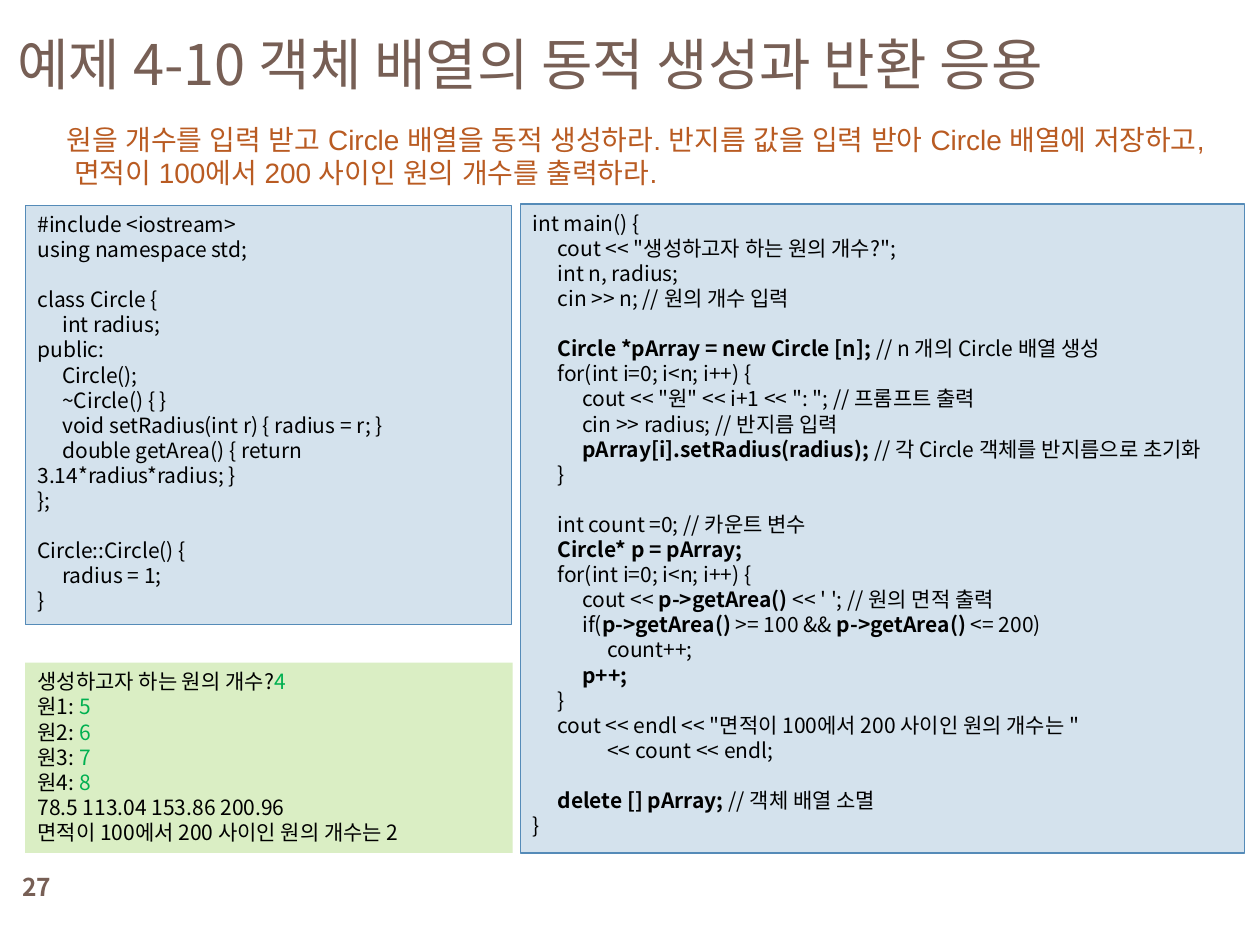
from dataclasses import dataclass
from typing import Optional

from lxml.etree import SubElement
from pptx import Presentation
from pptx.dml.color import RGBColor
from pptx.enum.shapes import MSO_SHAPE
from pptx.enum.text import MSO_ANCHOR, PP_ALIGN
from pptx.oxml.ns import qn
from pptx.util import Inches, Pt


@dataclass(frozen=True)
class Theme:
    sans: str = "Noto Sans CJK KR"
    arial: str = "Arial"
    ink: str = "000000"
    brown: str = "775F55"
    rust: str = "B95B22"
    green: str = "00B050"
    mint: str = "DAEEC4"
    blue: str = "D4E2ED"
    edge: str = "558BB8"
    title: int = 32
    lead: int = 16
    page: int = 14
    code: int = 12
    pitch: float = 14.35
    tab: float = 0.59 / 3


@dataclass(frozen=True)
class Box:
    left: float
    top: float
    width: float
    height: float
    text: str
    size: int
    color: str
    face: str
    fill: Optional[str] = None
    line: Optional[str] = None
    accent: Optional[str] = None
    bold: bool = False
    pitch: Optional[float] = None
    anchor: MSO_ANCHOR = MSO_ANCHOR.TOP
    align: PP_ALIGN = PP_ALIGN.LEFT


T = Theme()
MARK = "§"

CLASS = """#include <iostream>
using namespace std;

class Circle {
\tint radius;
public:
\tCircle();
\t~Circle() { }
\tvoid setRadius(int r) { radius = r; }
\tdouble getArea() { return 3.14*radius*radius; }
};

Circle::Circle() {
\tradius = 1;
}"""

MAIN = """int main() {
\tcout << "생성하고자 하는 원의 개수?";
\tint n, radius;
\tcin >> n; // 원의 개수 입력

\t§Circle *pArray = new Circle [n]; §// n 개의 Circle 배열 생성
\tfor(int i=0; i<n; i++) {
\t\tcout << "원" << i+1 << ": "; // 프롬프트 출력
\t\tcin >> radius; // 반지름 입력
\t\t§pArray[i].setRadius(radius); §// 각 Circle 객체를 반지름으로 초기화
\t}

\tint count =0; // 카운트 변수
\t§Circle* p = pArray;§
\tfor(int i=0; i<n; i++) {
\t\tcout << §p->getArea() §<< ' '; // 원의 면적 출력
\t\tif(§p->getArea()§ >= 100 && §p->getArea() §<= 200)
\t\t\tcount++;
\t\t§p++;§
\t}
\tcout << endl << "면적이 100에서 200 사이인 원의 개수는 "
\t\t\t<< count << endl;

\t§delete [] pArray; §// 객체 배열 소멸
}"""

OUTPUT = """생성하고자 하는 원의 개수?§4§
원1: §5§
원2: §6§
원3: §7§
원4: §8§
78.5 113.04 153.86 200.96
면적이 100에서 200 사이인 원의 개수는 2"""

LEAD = ("원을 개수를 입력 받고 Circle 배열을 동적 생성하라. 반지름 값을 입력 받아 "
        "Circle 배열에 저장하고, 면적이 100에서 200 사이인 원의 개수를 출력하라.")

BOXES = [
    Box(0, 6.83, 0.58, 0.42, "27", T.page, T.brown, T.sans, bold=True,
        anchor=MSO_ANCHOR.MIDDLE, align=PP_ALIGN.CENTER),
    Box(0.2, 5.26, 3.87, 1.51, OUTPUT, T.code, T.ink, T.sans, T.mint,
        accent=T.green, pitch=T.pitch),
    Box(0.2, 1.63, 3.86, 3.33, CLASS, T.code, T.ink, T.sans, T.blue, T.edge,
        pitch=T.pitch),
    Box(4.13, 1.62, 5.75, 5.15, MAIN, T.code, T.ink, T.sans, T.blue, T.edge,
        pitch=T.pitch),
    Box(0.04, 0.13, 9.96, 0.74, "예제 4-10 객체 배열의 동적 생성과 반환 응용",
        T.title, T.brown, T.sans, anchor=MSO_ANCHOR.MIDDLE),
    Box(0.43, 0.92, 9.22, 0.64, LEAD, T.lead, T.rust, T.arial),
]


def add_line(para, text: str, box: Box) -> None:
    para.alignment = box.align
    if box.pitch:
        para.line_spacing = Pt(box.pitch)
    if "\t" in text:
        tabs = SubElement(para._p.get_or_add_pPr(), qn("a:tabLst"))
        for step in range(1, 4):
            SubElement(tabs, qn("a:tab"), pos=str(Inches(T.tab * step)), algn="l")
    font = para.font
    font.name, font.size, font.bold = box.face, Pt(box.size), box.bold
    font.color.rgb = RGBColor.from_string(box.color)
    SubElement(font._element, qn("a:ea"), typeface=box.face)
    for index, part in enumerate(text.split(MARK)):
        if not part:
            continue
        run = para.add_run()
        run.text = part
        if index % 2 and box.accent:
            run.font.color.rgb = RGBColor.from_string(box.accent)
        elif index % 2:
            run.font.bold = True


def add_box(slide, box: Box) -> None:
    area = [Inches(n) for n in (box.left, box.top, box.width, box.height)]
    if box.fill:
        shape = slide.shapes.add_shape(MSO_SHAPE.RECTANGLE, *area)
        shape.shadow.inherit = False
        shape.fill.solid()
        shape.fill.fore_color.rgb = RGBColor.from_string(box.fill)
        if box.line:
            shape.line.color.rgb = RGBColor.from_string(box.line)
            shape.line.width = Pt(0.75)
        else:
            shape.line.fill.background()
    else:
        shape = slide.shapes.add_textbox(*area)
    frame = shape.text_frame
    frame.word_wrap = True
    frame.vertical_anchor = box.anchor
    for index, text in enumerate(box.text.split("\n")):
        para = frame.add_paragraph() if index else frame.paragraphs[0]
        add_line(para, text, box)


def main() -> None:
    """Build the slide on dynamic arrays of Circle objects."""
    deck = Presentation()
    deck.slide_width, deck.slide_height = Inches(10), Inches(7.5)
    slide = deck.slides.add_slide(deck.slide_layouts[6])
    for box in BOXES:
        add_box(slide, box)
    deck.save("out.pptx")


if __name__ == "__main__":
    main()
